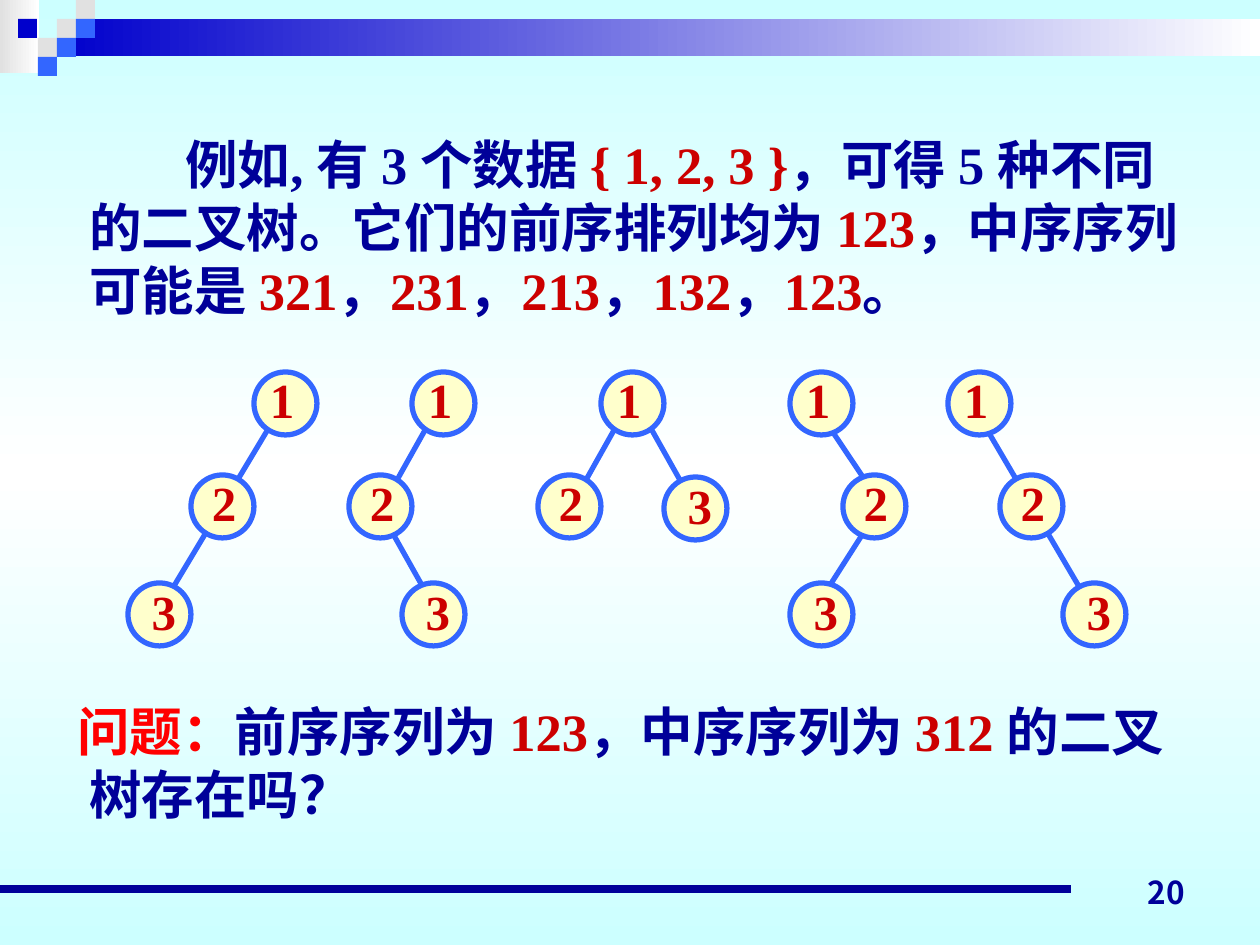
from copy import deepcopy
from dataclasses import dataclass

from lxml.etree import SubElement
from pptx import Presentation
from pptx.dml.color import RGBColor
from pptx.enum.shapes import MSO_CONNECTOR, MSO_SHAPE
from pptx.enum.text import MSO_ANCHOR, PP_ALIGN
from pptx.oxml.ns import qn
from pptx.util import Pt

SCALE = 914400 // 126
NAVY = RGBColor(0x00, 0x00, 0x99)
BLUE = RGBColor(0x33, 0x66, 0xFF)
DEEP_BLUE = RGBColor(0x00, 0x00, 0xCC)
CRIMSON = RGBColor(0xCC, 0x00, 0x00)
RED = RGBColor(0xFF, 0x00, 0x00)
CREAM = RGBColor(0xFF, 0xFF, 0xCC)
GREY = RGBColor(0xE1, 0xE1, 0xE1)
WHITE = RGBColor(0xFF, 0xFF, 0xFF)
AQUA = RGBColor(0xCC, 0xFF, 0xFF)
LATIN_FONT = "Times New Roman"
ASIAN_FONT = "Noto Sans CJK JP"
NODE_SIZE = 63
LABEL_OFFSETS = {"1": (3, -9), "2": (8, -9), "3": (11, -8)}


@dataclass(frozen=True)
class Block:
    left: int
    top: int
    width: int
    height: int
    colors: tuple[RGBColor, ...]


@dataclass(frozen=True)
class Tree:
    nodes: tuple[tuple[int, int], ...]
    edges: tuple[tuple[int, int, int, int], ...]


@dataclass(frozen=True)
class Passage:
    first_line: int
    space_before: int
    spans: tuple[tuple[str, RGBColor], ...]


BLOCKS = (
    Block(0, 0, 39, 73, (GREY, WHITE)),
    Block(57, 19, 1203, 37, (DEEP_BLUE, WHITE)),
    Block(57, 19, 19, 19, (GREY,)),
    Block(76, 0, 19, 19, (GREY,)),
    Block(76, 19, 19, 19, (BLUE,)),
    Block(38, 38, 19, 19, (GREY,)),
    Block(18, 19, 19, 19, (DEEP_BLUE,)),
    Block(57, 38, 19, 19, (BLUE,)),
    Block(38, 57, 19, 19, (BLUE,)),
)

TREES = (
    Tree(((254, 372), (191, 475), (128, 583)), ((276, 416, 171, 591),)),
    Tree(((412, 372), (349, 475), (402, 583)),
         ((433, 416, 392, 489), (392, 532, 433, 605))),
    Tree(((601, 372), (538, 475), (664, 477)),
         ((622, 416, 581, 489), (644, 416, 685, 489))),
    Tree(((790, 372), (843, 475), (790, 583)),
         ((822, 416, 885, 510), (864, 532, 811, 615))),
    Tree(((948, 372), (1000, 475), (1063, 583)), ((979, 416, 1084, 595),)),
)

PASSAGES = (
    Passage(96, 0, (
        ("例如, 有 3 个数据 ", NAVY), ("{ 1, 2, 3 }", CRIMSON),
        ("，可得 5 种不同的二叉树。它们的前序排列均为 ", NAVY), ("123", CRIMSON),
        ("，中序序列可能是 ", NAVY), ("321", CRIMSON), ("，", NAVY),
        ("231", CRIMSON), ("，", NAVY), ("213", CRIMSON), ("，", NAVY),
        ("132", CRIMSON), ("，", NAVY), ("123", CRIMSON), ("。", NAVY),
    )),
    Passage(-12, 216, (
        ("问题：", RED), ("前序序列为 ", NAVY), ("123", CRIMSON),
        ("，中序序列为 ", NAVY), ("312 ", CRIMSON), ("的二叉树存在吗？", NAVY),
    )),
)


def px(value: int) -> int:
    return value * SCALE


def paint(fill, holder, colors: tuple[RGBColor, ...], angle: int) -> None:
    if len(colors) == 1:
        fill.solid()
        fill.fore_color.rgb = colors[0]
        return
    fill.gradient()
    fill.gradient_angle = angle
    stops = holder.xpath(".//a:gsLst")[0]
    while len(stops) < len(colors):
        stops.append(deepcopy(stops[0]))
    for index, (stop, color) in enumerate(zip(fill.gradient_stops, colors)):
        stop.color.rgb = color
        stop.position = index / (len(colors) - 1)


def style_span(span, size: int, color: RGBColor, latin: str) -> None:
    span.font.size = Pt(size)
    span.font.bold = True
    span.font.name = latin
    span.font.color.rgb = color
    SubElement(span.font._element, qn("a:ea")).set("typeface", ASIAN_FONT)


def draw_block(page, block: Block) -> None:
    shape = page.shapes.add_shape(
        MSO_SHAPE.RECTANGLE, px(block.left), px(block.top),
        px(block.width), px(block.height))
    shape.shadow.inherit = False
    shape.line.fill.background()
    paint(shape.fill, shape.element, block.colors, 0)


def draw_line(page, ends: tuple[int, int, int, int], color: RGBColor, width: float) -> None:
    line = page.shapes.add_connector(MSO_CONNECTOR.STRAIGHT, *map(px, ends))
    line.line.color.rgb = color
    line.line.width = Pt(width)
    SubElement(line.element.spPr, qn("a:effectLst"))


def draw_label(page, place: tuple[int, int, int, int], text: str, size: int,
               color: RGBColor, font: str, align, anchor, wrap: bool) -> None:
    frame = page.shapes.add_textbox(*map(px, place)).text_frame
    frame.word_wrap = wrap
    frame.vertical_anchor = anchor
    frame.text = text
    para = frame.paragraphs[0]
    para.alignment = align
    style_span(para.runs[0], size, color, font)


def draw_tree(page, tree: Tree) -> None:
    for edge in tree.edges:
        draw_line(page, edge, BLUE, 3)
    for (left, top), (digit, (across, down)) in zip(tree.nodes, LABEL_OFFSETS.items()):
        node = page.shapes.add_shape(
            MSO_SHAPE.OVAL, px(left), px(top), px(NODE_SIZE), px(NODE_SIZE))
        node.shadow.inherit = False
        paint(node.fill, node.element, (CREAM,), 0)
        node.line.color.rgb = BLUE
        node.line.width = Pt(3)
        draw_label(page, (left + across, top + down, 50, 72), digit, 28, CRIMSON,
                   LATIN_FONT, PP_ALIGN.CENTER, MSO_ANCHOR.MIDDLE, False)


def draw_passages(page) -> None:
    frame = page.shapes.add_textbox(px(30), px(120), px(1166), px(730)).text_frame
    frame.word_wrap = True
    frame.margin_top = px(12)
    for index, passage in enumerate(PASSAGES):
        para = frame.add_paragraph() if index else frame.paragraphs[0]
        para.line_spacing = Pt(36)
        para.space_before = Pt(passage.space_before)
        properties = para._p.get_or_add_pPr()
        properties.set("marL", str(px(47)))
        properties.set("indent", str(px(passage.first_line)))
        for text, color in passage.spans:
            span = para.add_run()
            span.text = text
            style_span(span, 30, color, LATIN_FONT)


def main() -> None:
    deck = Presentation()
    deck.slide_width = px(1260)
    deck.slide_height = px(945)
    page = deck.slides.add_slide(deck.slide_layouts[6])
    paint(page.background.fill, page.element, (AQUA, WHITE, AQUA), 270)
    for block in BLOCKS:
        draw_block(page, block)
    draw_line(page, (0, 889, 1071, 889), NAVY, 4.5)
    draw_label(page, (903, 854, 294, 63), "20", 18, NAVY, ASIAN_FONT,
               PP_ALIGN.RIGHT, MSO_ANCHOR.BOTTOM, True)
    draw_passages(page)
    for tree in TREES:
        draw_tree(page, tree)
    deck.save("out.pptx")


main()
